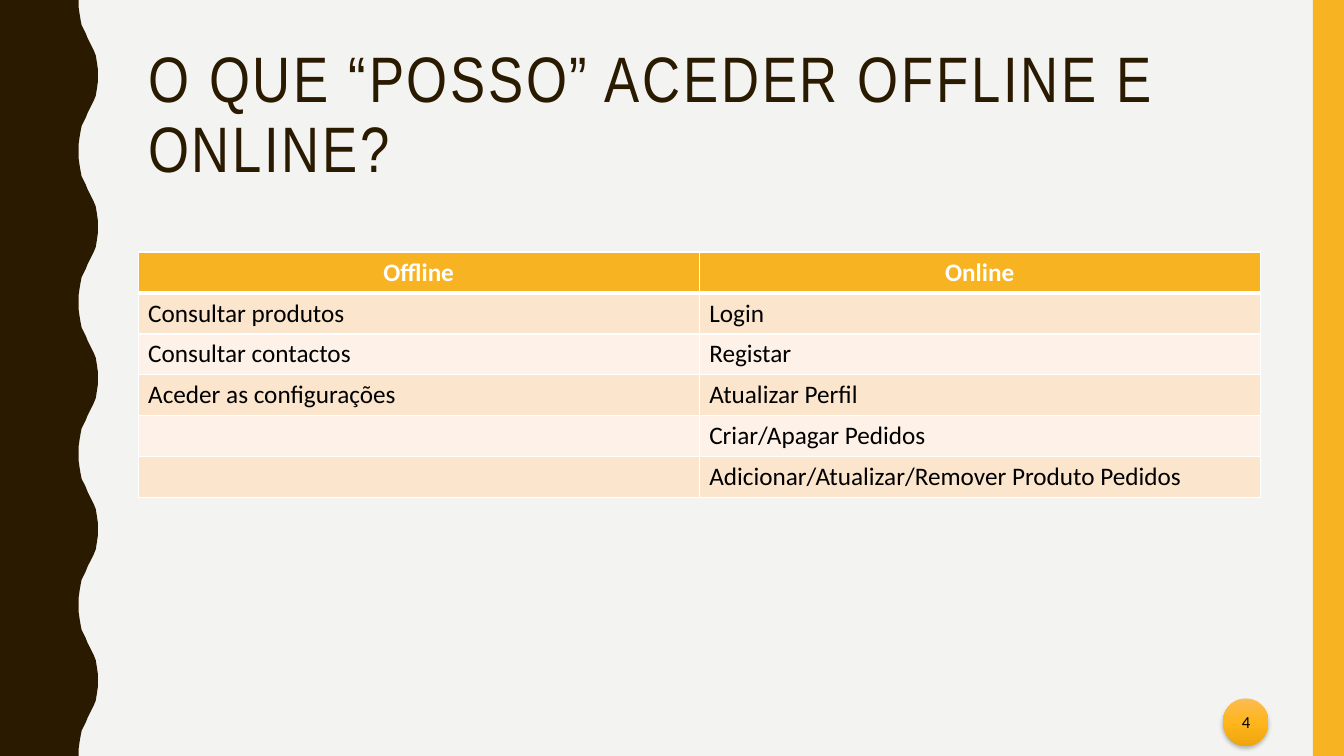
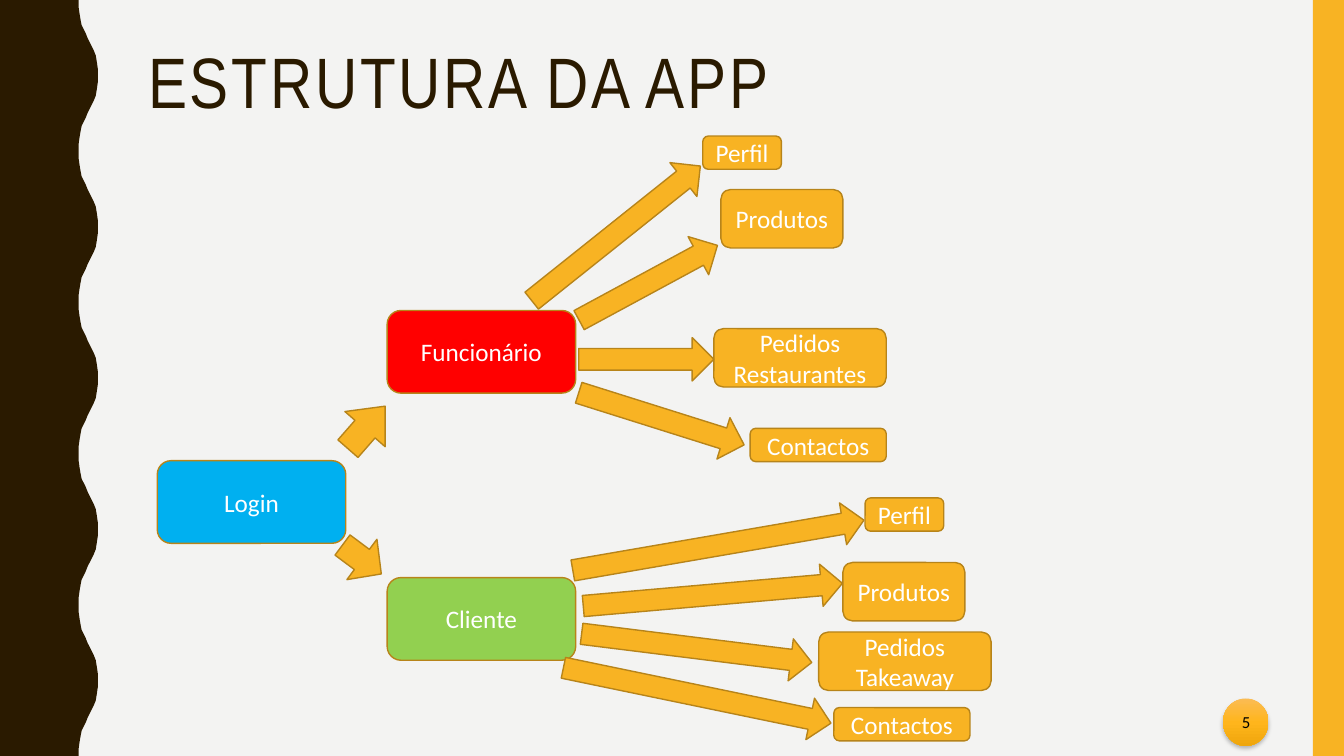
from copy import deepcopy

from lxml.etree import SubElement
from pptx import Presentation
from pptx.dml.color import RGBColor
from pptx.enum.shapes import MSO_SHAPE as SHAPE
from pptx.enum.text import MSO_ANCHOR as ANCHOR, PP_ALIGN as ALIGN
from pptx.oxml.ns import qn
from pptx.util import Inches, Pt

PAPER = RGBColor(0xF3, 0xF3, 0xF2)
BROWN = RGBColor(0x2A, 0x1A, 0x00)
AMBER = RGBColor(0xF8, 0xB3, 0x23)
OUTLINE = RGBColor(0xB7, 0x84, 0x1A)
WHITE = RGBColor(0xFF, 0xFF, 0xFF)
BLACK = RGBColor(0x00, 0x00, 0x00)
BLUE = RGBColor(0x00, 0xB0, 0xF0)
RED = RGBColor(0xFF, 0x00, 0x00)
GREEN = RGBColor(0x92, 0xD0, 0x50)
PEACH = RGBColor(0xFC, 0xE5, 0xCD)
CREAM = RGBColor(0xFE, 0xF2, 0xE8)
BADGE_STOPS = [
    (0, RGBColor(0xFB, 0xBC, 0x54)),
    (0.5, RGBColor(0xFF, 0xB5, 0x1C)),
    (1, RGBColor(0xEF, 0xA6, 0x0C)),
]

TITLE_FONT = "Arial Narrow"
BODY_FONT = "Calibri"
SLIDE_W, SLIDE_H = 13.33, 7.5
LEFT, CONTENT_W = 1.37, 11.13

# One rising half of the wave (x, y); the falling half mirrors it.
WAVE_PERIOD = 1.5
WAVE_RISE = [
    (0.78, 0), (0.78, 0.07), (0.79, 0.14), (0.8, 0.2), (0.81, 0.25),
    (0.83, 0.29), (0.85, 0.33), (0.87, 0.38), (0.89, 0.42), (0.91, 0.46),
    (0.93, 0.5), (0.95, 0.55), (0.96, 0.61), (0.97, 0.68), (0.97, 0.75),
]

TABLE_ROWS = [
    ("Offline", "Online"),
    ("Consultar produtos", "Login"),
    ("Consultar contactos", "Registar"),
    ("Aceder as configurações", "Atualizar Perfil"),
    ("", "Criar/Apagar Pedidos"),
    ("", "Adicionar/Atualizar/Remover Produto Pedidos"),
]

ROLE_SIZE = (1.87, 0.82)
PERFIL_SIZE = (0.78, 0.33)
PRODUTOS_SIZE = (1.21, 0.58)
PEDIDOS_SIZE = (1.71, 0.58)
CONTACTOS_SIZE = (1.35, 0.33)

# label, left, top, size, fill
NODES = [
    ("Login", 1.56, 4.57, ROLE_SIZE, BLUE),
    ("Funcionário", 3.84, 3.08, ROLE_SIZE, RED),
    ("Cliente", 3.84, 5.73, ROLE_SIZE, GREEN),
    ("Perfil", 6.97, 1.35, PERFIL_SIZE, AMBER),
    ("Produtos", 7.15, 1.88, PRODUTOS_SIZE, AMBER),
    ("Pedidos Restaurantes", 7.08, 3.26, PEDIDOS_SIZE, AMBER),
    ("Contactos", 7.44, 4.25, CONTACTOS_SIZE, AMBER),
    ("Perfil", 8.58, 4.94, PERFIL_SIZE, AMBER),
    ("Produtos", 8.36, 5.58, PRODUTOS_SIZE, AMBER),
    ("Pedidos Takeaway", 8.12, 6.27, PEDIDOS_SIZE, AMBER),
    ("Contactos", 8.27, 7.02, CONTACTOS_SIZE, AMBER),
]

# left, top, width, height, rotation
LOGIN_ARROWS = [
    (3.37, 3.96, 0.53, 0.56, 221.2),
    (3.34, 5.31, 0.5, 0.48, 306.7),
]
PAGE_ARROWS = [
    (5.04, 2.1, 2.14, 0.43, 321.4),
    (5.65, 2.59, 1.56, 0.43, 331.6),
    (5.74, 3.35, 1.34, 0.43, 0),
    (5.7, 3.94, 1.72, 0.43, 17.5),
    (5.66, 5.2, 2.93, 0.42, 350.2),
    (5.78, 5.69, 2.58, 0.42, 355),
    (5.76, 6.22, 2.3, 0.42, 7.1),
    (5.56, 6.69, 2.71, 0.42, 11.7),
]


def write(tf, text, size, color, font=BODY_FONT, align=ALIGN.LEFT, bold=False):
    p = tf.paragraphs[0]
    p.text = text
    p.alignment = align
    for r in p.runs:
        r.font.name = font
        r.font.size = Pt(size)
        r.font.bold = bold
        r.font.color.rgb = color
    return p


def add_text(slide, x, y, w, h, anchor):
    tf = slide.shapes.add_textbox(Inches(x), Inches(y), Inches(w), Inches(h)).text_frame
    tf.word_wrap = True
    tf.vertical_anchor = anchor
    return tf


def paint(sp, fill, line=None):
    sp.shadow.inherit = False
    sp.fill.solid()
    sp.fill.fore_color.rgb = fill
    if line is None:
        sp.line.fill.background()
    else:
        sp.line.color.rgb = line
        sp.line.width = Pt(1)


def add_shape(slide, kind, x, y, w, h, fill=AMBER, line=None):
    sp = slide.shapes.add_shape(kind, Inches(x), Inches(y), Inches(w), Inches(h))
    paint(sp, fill, line)
    return sp


def add_wave_band(slide):
    fall = [(x, WAVE_PERIOD - y) for x, y in reversed(WAVE_RISE[1:-1])]
    cycles = round(SLIDE_H / WAVE_PERIOD)
    edge = [(x, y + n * WAVE_PERIOD) for n in range(cycles) for x, y in WAVE_RISE + fall]
    edge += [(WAVE_RISE[0][0], SLIDE_H), (0, SLIDE_H)]
    builder = slide.shapes.build_freeform(0, 0, scale=1.0)
    builder.add_line_segments([(Inches(x), Inches(y)) for x, y in edge], close=True)
    paint(builder.convert_to_shape(), BROWN)


def add_badge(slide, number):
    sp = add_shape(slide, SHAPE.FLOWCHART_CONNECTOR, 12.13, 6.93, 0.45, 0.47)
    sp.fill.gradient()
    sp.fill.gradient_angle = 270
    sp_pr = sp._element.spPr
    stops = sp_pr.find(qn("a:gradFill")).find(qn("a:gsLst"))
    stops.insert(1, deepcopy(stops[0]))
    for stop, (position, color) in zip(sp.fill.gradient_stops, BADGE_STOPS):
        stop.position = position
        stop.color.rgb = color
    shadow = SubElement(sp_pr.find(qn("a:effectLst")), qn("a:outerShdw"),
                        blurRad=str(Pt(3)), dist=str(Pt(2)), dir="5400000")
    black = SubElement(shadow, qn("a:srgbClr"), val=str(BLACK))
    SubElement(black, qn("a:alpha"), val="25000")
    tf = add_text(slide, 9.42, 6.97, 3.08, 0.38, ANCHOR.MIDDLE)
    write(tf, str(number), 12, BLACK, align=ALIGN.RIGHT)


def new_slide(prs, title, title_size, number):
    """Add a slide with the bands, title and number that all slides share."""
    slide = prs.slides.add_slide(prs.slide_layouts[6])
    add_wave_band(slide)
    add_shape(slide, SHAPE.RECTANGLE, 13.02, 0, 0.31, SLIDE_H)
    add_badge(slide, number)
    tf = add_text(slide, LEFT, 0.42, CONTENT_W, 1.63, ANCHOR.TOP)
    p = write(tf, title, title_size, BROWN, TITLE_FONT)
    p.line_spacing = 0.9
    for r in p.runs:
        r.font._element.set("spc", "200")
    return slide


def set_borders(cell, top, bottom):
    tc_pr = cell._tc.get_or_add_tcPr()
    for side, width in (("L", 1), ("R", 1), ("T", top), ("B", bottom)):
        ln = SubElement(tc_pr, qn(f"a:ln{side}"), w=str(Pt(width)))
        SubElement(SubElement(ln, qn("a:solidFill")), qn("a:srgbClr"), val=str(WHITE))


def add_access_table(slide):
    rows, cols = len(TABLE_ROWS), len(TABLE_ROWS[0])
    table = slide.shapes.add_table(rows, cols, Inches(LEFT), Inches(2.5),
                                   Inches(CONTENT_W), Inches(2.44)).table
    for i, labels in enumerate(TABLE_ROWS):
        header = i == 0
        for j, label in enumerate(labels):
            cell = table.cell(i, j)
            set_borders(cell, top=3 if i == 1 else 1, bottom=3 if header else 1)
            cell.fill.solid()
            cell.fill.fore_color.rgb = AMBER if header else PEACH if i % 2 else CREAM
            write(cell.text_frame, label, 18, WHITE if header else BLACK,
                  align=ALIGN.CENTER if header else ALIGN.LEFT, bold=header)


def add_node(slide, label, x, y, size, fill):
    sp = add_shape(slide, SHAPE.ROUNDED_RECTANGLE, x, y, *size, fill, OUTLINE)
    write(sp.text_frame, label, 18, WHITE, align=ALIGN.CENTER)


def add_arrow(slide, kind, x, y, w, h, rotation):
    sp = add_shape(slide, kind, x, y, w, h, line=OUTLINE)
    sp.rotation = rotation
    return sp


def main():
    prs = Presentation()
    prs.slide_width, prs.slide_height = Inches(SLIDE_W), Inches(SLIDE_H)
    background = prs.slide_master.background.fill
    background.solid()
    background.fore_color.rgb = PAPER

    slide = new_slide(prs, "O QUE “POSSO” ACEDER OFFLINE E ONLINE?", 45.9, 4)
    add_access_table(slide)

    slide = new_slide(prs, "ESTRUTURA DA APP", 51, 5)
    for node in NODES:
        add_node(slide, *node)
    to_staff, _ = [add_arrow(slide, SHAPE.DOWN_ARROW, *a) for a in LOGIN_ARROWS]
    to_staff.adjustments[1] = 0.57
    for arrow in PAGE_ARROWS:
        add_arrow(slide, SHAPE.RIGHT_ARROW, *arrow)

    prs.save("out.pptx")


if __name__ == "__main__":
    main()
